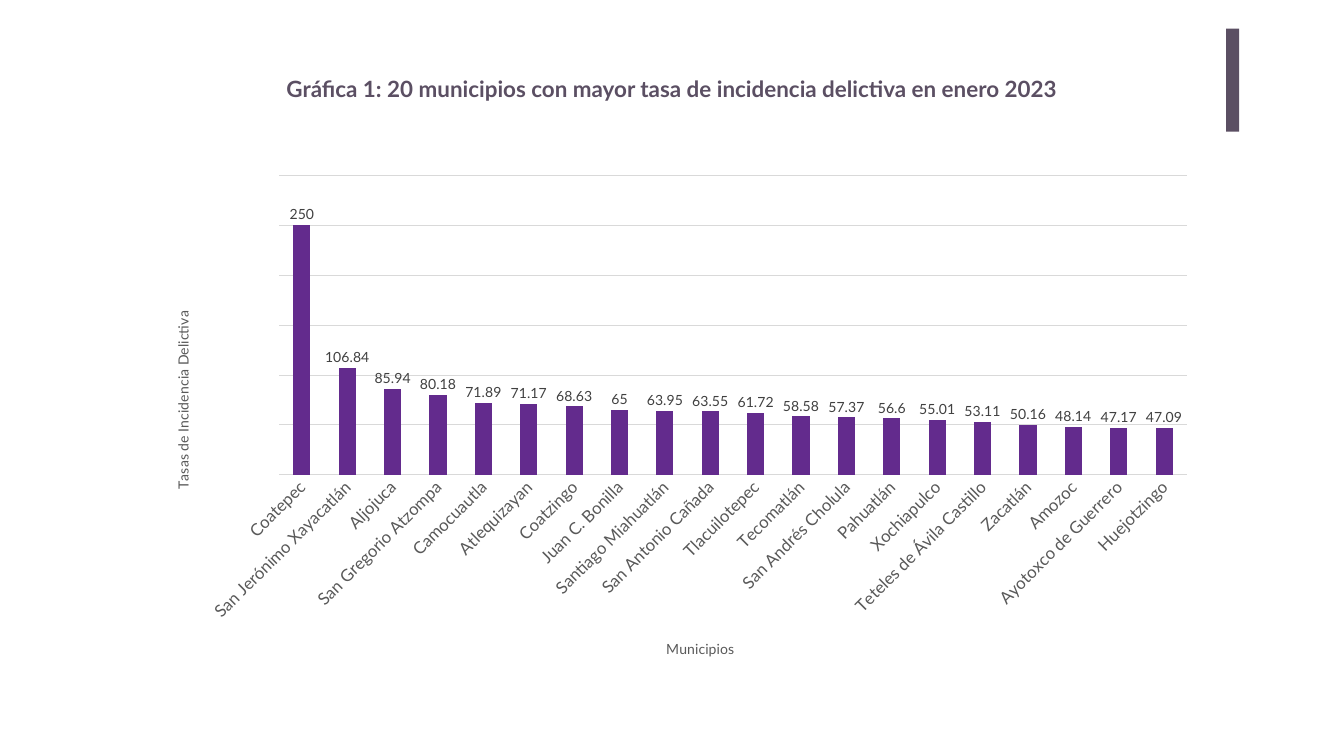
from lxml import etree
from pptx import Presentation
from pptx.chart.data import CategoryChartData
from pptx.dml.color import RGBColor
from pptx.enum.chart import XL_CHART_TYPE, XL_LABEL_POSITION, XL_TICK_MARK
from pptx.enum.shapes import MSO_SHAPE
from pptx.enum.text import MSO_ANCHOR, PP_ALIGN
from pptx.oxml.ns import qn
from pptx.util import Inches, Pt

COLUMNS = XL_CHART_TYPE.COLUMN_CLUSTERED
ABOVE = XL_LABEL_POSITION.OUTSIDE_END
NO_TICK = XL_TICK_MARK.NONE

# Content
TITLE = "Gráfica 1: 20 municipios con mayor tasa de incidencia delictiva en enero 2023"
CATEGORY_TITLE = "Municipios"
VALUE_TITLE = "Tasas de Incidencia Delictiva"
RATES = [
    ("Coatepec", 250), ("San Jerónimo Xayacatlán", 106.84),
    ("Aljojuca", 85.94), ("San Gregorio Atzompa", 80.18),
    ("Camocuautla", 71.89), ("Atlequizayan", 71.17),
    ("Coatzingo", 68.63), ("Juan C. Bonilla", 65),
    ("Santiago Miahuatlán", 63.95), ("San Antonio Cañada", 63.55),
    ("Tlacuilotepec", 61.72), ("Tecomatlán", 58.58),
    ("San Andrés Cholula", 57.37), ("Pahuatlán", 56.6),
    ("Xochiapulco", 55.01), ("Teteles de Ávila Castillo", 53.11),
    ("Zacatlán", 50.16), ("Amozoc", 48.14),
    ("Ayotoxco de Guerrero", 47.17), ("Huejotzingo", 47.09),
]

THEME = {
    "font": "Lato",
    "accent": "5B4F63", "bars": "632B8D", "grid": "D9D9D9",
    "axis": "595959", "labels": "404040",
    "title": 32, "tick": 24, "small": 20,
}

# Places on the slide in inches: left, top, width, height
WIDTH, HEIGHT = 26.67, 15
ACCENT_BAR = (24.33, 0.57, 0.26, 2.04)
TITLE_BOX = (4.32, 1.45, 18.03, 0.64)
CHART_BOX = (3.12, 3.27, 20.85, 9.95)
PLOT = (5.54, 3.47, 18.01, 5.95)
CATEGORY_TITLE_AT = (13.17, 12.62)
VALUE_TITLE_AT = (3.38, 6.12)


def color(name):
    return RGBColor.from_string(THEME[name])


def style(font, size, tint, bold=False):
    font.name, font.size, font.bold = THEME["font"], Pt(THEME[size]), bold
    font.color.rgb = color(tint)


def rule(line):
    line.color.rgb, line.width = color("grid"), Pt(0.75)


def place(parent, place_on_slide, inner=False):
    """Give a chart part a fixed place, as shares of the chart's size."""
    layout = parent.find(qn("c:layout"))
    if layout is None:
        layout = etree.Element(qn("c:layout"))
        parent.insert(0, layout)
    manual = etree.SubElement(layout, qn("c:manualLayout"))
    left, top, width, height = CHART_BOX
    shares = [(place_on_slide[0] - left) / width, (place_on_slide[1] - top) / height]
    if inner:
        shares += [place_on_slide[2] / width, place_on_slide[3] / height]
    settings = [("layoutTarget", "inner")] if inner else []
    settings += [("xMode", "edge"), ("yMode", "edge")]
    settings += [(key, f"{share:.4f}") for key, share in zip("xywh", shares)]
    for key, value in settings:
        etree.SubElement(manual, qn(f"c:{key}")).set("val", value)


def turn(body, degrees):
    body.set("rot", str(degrees * 60000))
    body.set("vert", "horz")


def add_axis_title(axis, text):
    frame = axis.axis_title.text_frame
    frame.text = text
    style(frame.paragraphs[0].runs[0].font, "small", "axis")


def add_rates_chart(page):
    data = CategoryChartData()
    data.categories = [name for name, rate in RATES]
    data.add_series("Series 1", [rate for name, rate in RATES])
    chart = page.shapes.add_chart(COLUMNS, *map(Inches, CHART_BOX), data).chart
    chart.has_legend = chart.has_title = False
    style(chart.font, "small", "axis")

    # Columns and their values
    plot = chart.plots[0]
    plot.gap_width, plot.overlap, plot.vary_by_categories = 165, -27, False
    fill = plot.series[0].format.fill
    fill.solid()
    fill.fore_color.rgb = color("bars")
    plot.has_data_labels = True
    labels = plot.data_labels
    labels.show_value, labels.position = True, ABOVE
    style(labels.font, "small", "labels")

    # Axes
    names, values = chart.category_axis, chart.value_axis
    names.major_tick_mark = names.minor_tick_mark = NO_TICK
    rule(names.format.line)
    style(names.tick_labels.font, "tick", "axis")
    add_axis_title(names, CATEGORY_TITLE)
    values.minimum_scale, values.maximum_scale, values.major_unit = 0, 300, 50
    rule(values.major_gridlines.format.line)
    add_axis_title(values, VALUE_TITLE)
    values.visible = False

    # Fixed places and text angles
    def part(query):
        return chart.element.xpath(query)[0]

    turn(part(".//c:catAx/c:txPr/a:bodyPr"), -45)
    turn(part(".//c:valAx/c:title//a:bodyPr"), -90)
    place(part(".//c:plotArea"), PLOT, inner=True)
    place(part(".//c:catAx/c:title"), CATEGORY_TITLE_AT)
    place(part(".//c:valAx/c:title"), VALUE_TITLE_AT)


def main():
    deck = Presentation()
    deck.slide_width, deck.slide_height = Inches(WIDTH), Inches(HEIGHT)
    page = deck.slides.add_slide(deck.slide_layouts[6])

    # Accent bar
    bar = page.shapes.add_shape(MSO_SHAPE.RECTANGLE, *map(Inches, ACCENT_BAR))
    bar.shadow.inherit = False
    bar.fill.solid()
    bar.fill.fore_color.rgb = color("accent")
    bar.line.fill.background()

    # Title
    box = page.shapes.add_textbox(*map(Inches, TITLE_BOX))
    frame = box.text_frame
    frame.word_wrap, frame.vertical_anchor = True, MSO_ANCHOR.TOP
    frame.text = TITLE
    para = frame.paragraphs[0]
    para.alignment = PP_ALIGN.CENTER
    style(para.runs[0].font, "title", "accent", bold=True)

    add_rates_chart(page)
    deck.save("out.pptx")


if __name__ == "__main__":
    main()
